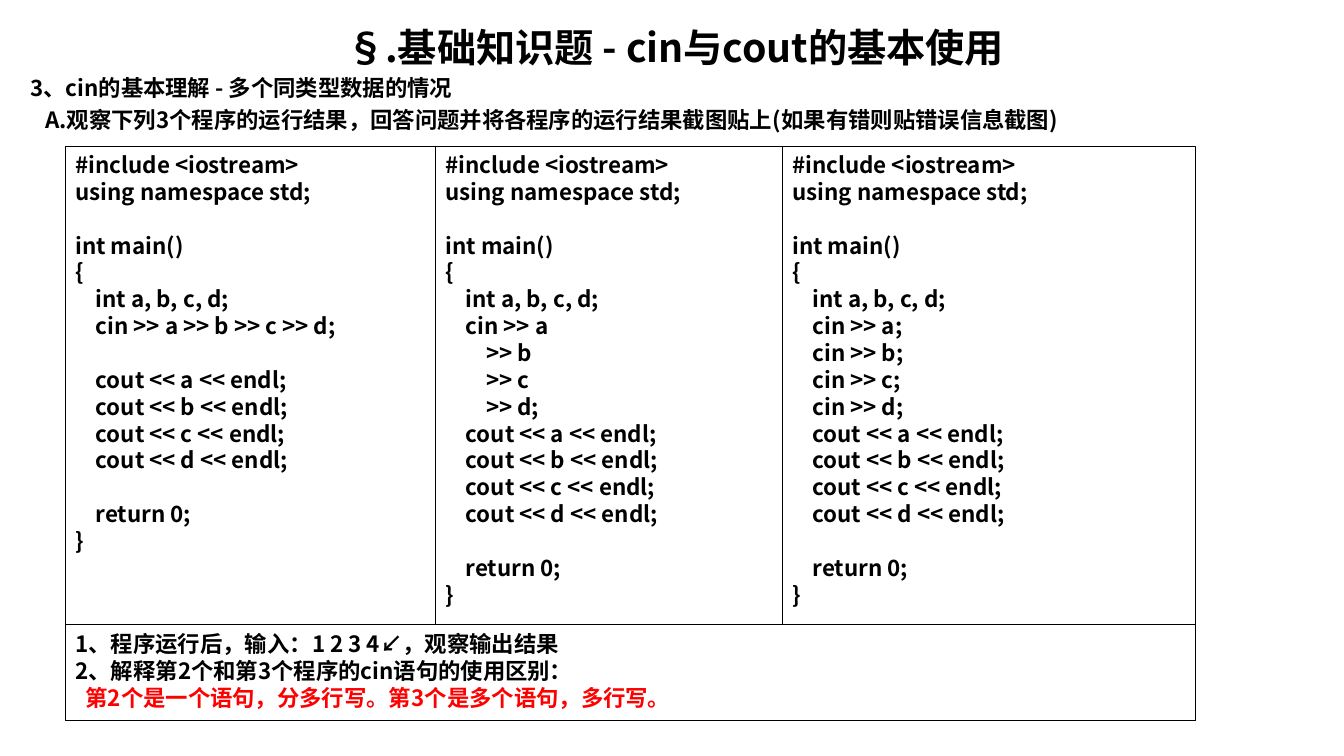
from dataclasses import dataclass

from lxml import etree
from pptx import Presentation
from pptx.dml.color import RGBColor
from pptx.enum.shapes import MSO_SHAPE
from pptx.enum.text import MSO_ANCHOR, PP_ALIGN
from pptx.oxml.ns import qn
from pptx.util import Inches, Pt


@dataclass(frozen=True)
class Theme:
    font: str = "Noto Sans CJK SC"
    ink: RGBColor = RGBColor(0, 0, 0)
    paper: RGBColor = RGBColor(255, 255, 255)
    answer: RGBColor = RGBColor(255, 0, 0)
    title: Pt = Pt(28)
    body: Pt = Pt(16)
    code_gap: Pt = Pt(19.2)
    heading_gap: Pt = Pt(3.2)
    line: Pt = Pt(0.75)


THEME = Theme()

TITLE = "§.基础知识题 - cin与cout的基本使用"
HEADINGS = [
    "3、cin的基本理解 - 多个同类型数据的情况",
    "A.观察下列3个程序的运行结果，回答问题并将各程序的运行结果截图贴上(如果有错则贴错误信息截图)",
]
QUESTIONS = [
    "1、程序运行后，输入：1 2 3 4↙，观察输出结果",
    "2、解释第2个和第3个程序的cin语句的使用区别：",
    "第2个是一个语句，分多行写。第3个是多个语句，多行写。",
]

# Input statements of each program, with its column width
OPENING = ["#include <iostream>\nusing namespace std;"]
PROGRAMS = [
    (3.67, "    cin >> a >> b >> c >> d;\n\n"),
    (3.44, "    cin >> a\n        >> b\n        >> c\n        >> d;\n"),
    (4.10, "".join(f"    cin >> {v};\n" for v in "abcd")),
]
LEFT, TOP, WIDTH, HEIGHT = 0.65, 1.45, 11.21, 5.7
ANSWER_TOP = 6.2


def program(reading):
    """Full listing of a program around its input statements."""
    writing = "".join(f"    cout << {v} << endl;\n" for v in "abcd")
    return ("#include <iostream>\nusing namespace std;\n\n"
            "int main()\n{\n    int a, b, c, d;\n"
            f"{reading}{writing}\n    return 0;\n}}")


def style(p, size=THEME.body, color=THEME.ink, align=PP_ALIGN.LEFT, before=0, indent=0):
    p.alignment = align
    p.space_before, p.space_after, p.line_spacing = before, 0, 1.0
    pPr = p._p.get_or_add_pPr()
    pPr.set("marL", str(Inches(indent)))
    pPr.set("indent", "0")
    f = p.font
    f.size, f.bold, f.name = size, True, THEME.font
    f.color.rgb = color
    # East Asian typeface, placed right after the Latin one
    latin = pPr.find(qn("a:defRPr")).find(qn("a:latin"))
    ea = etree.Element(qn("a:ea"), typeface=THEME.font)
    latin.addnext(ea)


def write(tf, lines, **looks):
    """Fill a text frame; an empty line becomes space above the next one."""
    tf.word_wrap = True
    tf.vertical_anchor = MSO_ANCHOR.TOP
    p, gap = None, 0
    for line in lines:
        if not line:
            gap = THEME.code_gap
            continue
        p = tf.paragraphs[0] if p is None else tf.add_paragraph()
        p.add_run().text = line
        style(p, before=gap, **looks)
        gap = 0
    return tf.paragraphs


def place(sp, left, top, width, height):
    sp.left, sp.top = Inches(left), Inches(top)
    sp.width, sp.height = Inches(width), Inches(height)


def add_box(slide, left, top, width, height, fill=None):
    sp = slide.shapes.add_shape(MSO_SHAPE.RECTANGLE, Inches(left), Inches(top),
                                Inches(width), Inches(height))
    sp.shadow.inherit = False
    if fill is None:
        sp.fill.background()
    else:
        sp.fill.solid()
        sp.fill.fore_color.rgb = fill
    sp.line.color.rgb = THEME.ink
    sp.line.width = THEME.line
    return sp


def add_headings(slide):
    title, body = slide.placeholders
    place(title, 0.2, 0.18, 12.99, 0.56)
    write(title.text_frame, [TITLE], size=THEME.title, align=PP_ALIGN.CENTER)
    place(body, 0.2, 0.69, 12.99, 0.7)
    _, task = write(body.text_frame, HEADINGS)
    task.space_before = THEME.heading_gap
    task._p.pPr.set("marL", str(Inches(0.15)))


def add_programs(slide):
    left = LEFT
    for width, reading in PROGRAMS:
        sp = add_box(slide, left, TOP, width, HEIGHT)
        write(sp.text_frame, program(reading).split("\n"))
        left += width


def add_answers(slide):
    sp = add_box(slide, LEFT, ANSWER_TOP, WIDTH, TOP + HEIGHT - ANSWER_TOP, THEME.paper)
    answer = write(sp.text_frame, QUESTIONS)[-1]
    answer.font.color.rgb = THEME.answer
    answer._p.pPr.set("marL", str(Inches(0.1)))


def main():
    prs = Presentation()
    prs.slide_width, prs.slide_height = Inches(13.33), Inches(7.5)
    slide = prs.slides.add_slide(prs.slide_layouts[0])
    add_headings(slide)
    add_programs(slide)
    add_answers(slide)
    prs.save("out.pptx")


if __name__ == "__main__":
    main()
